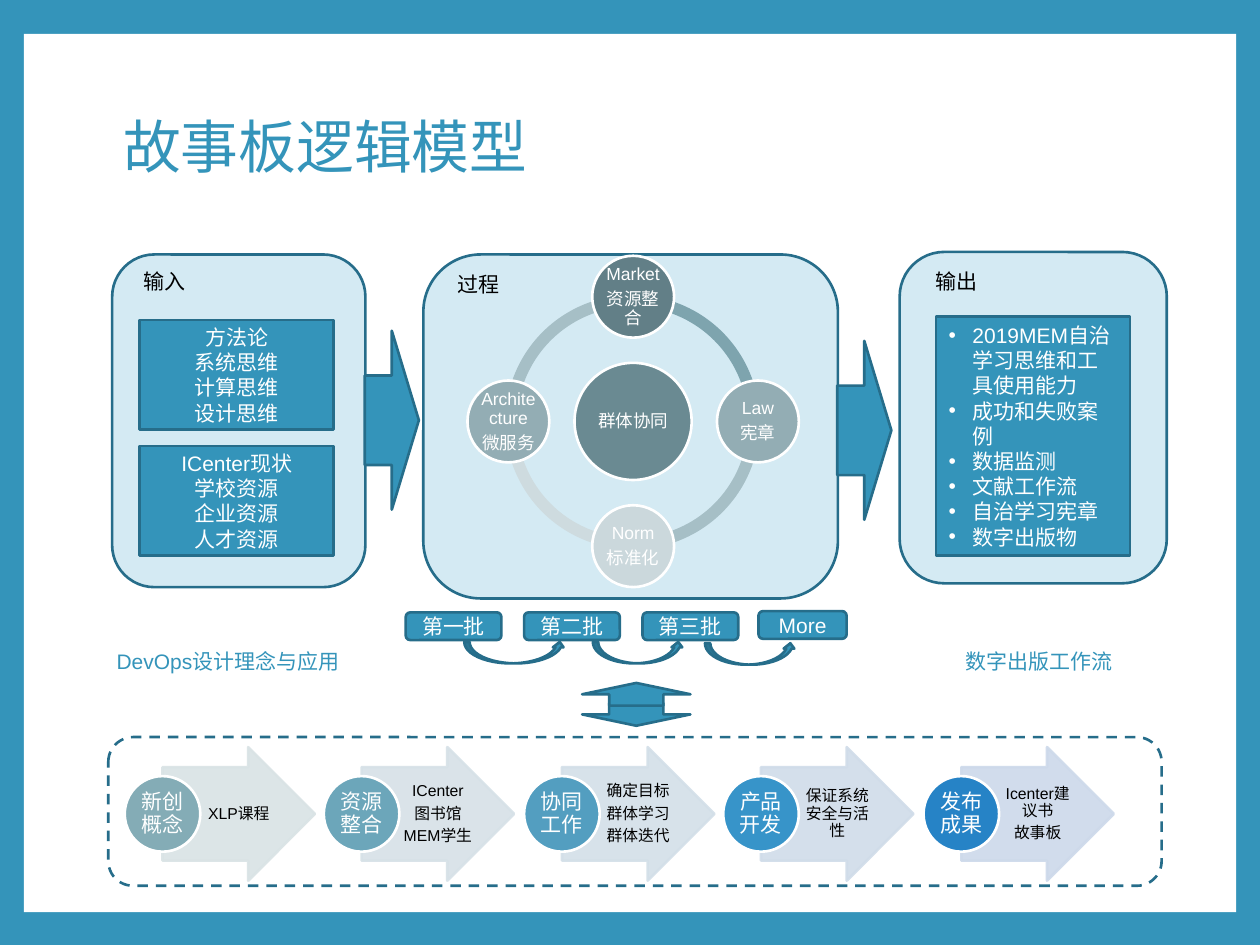
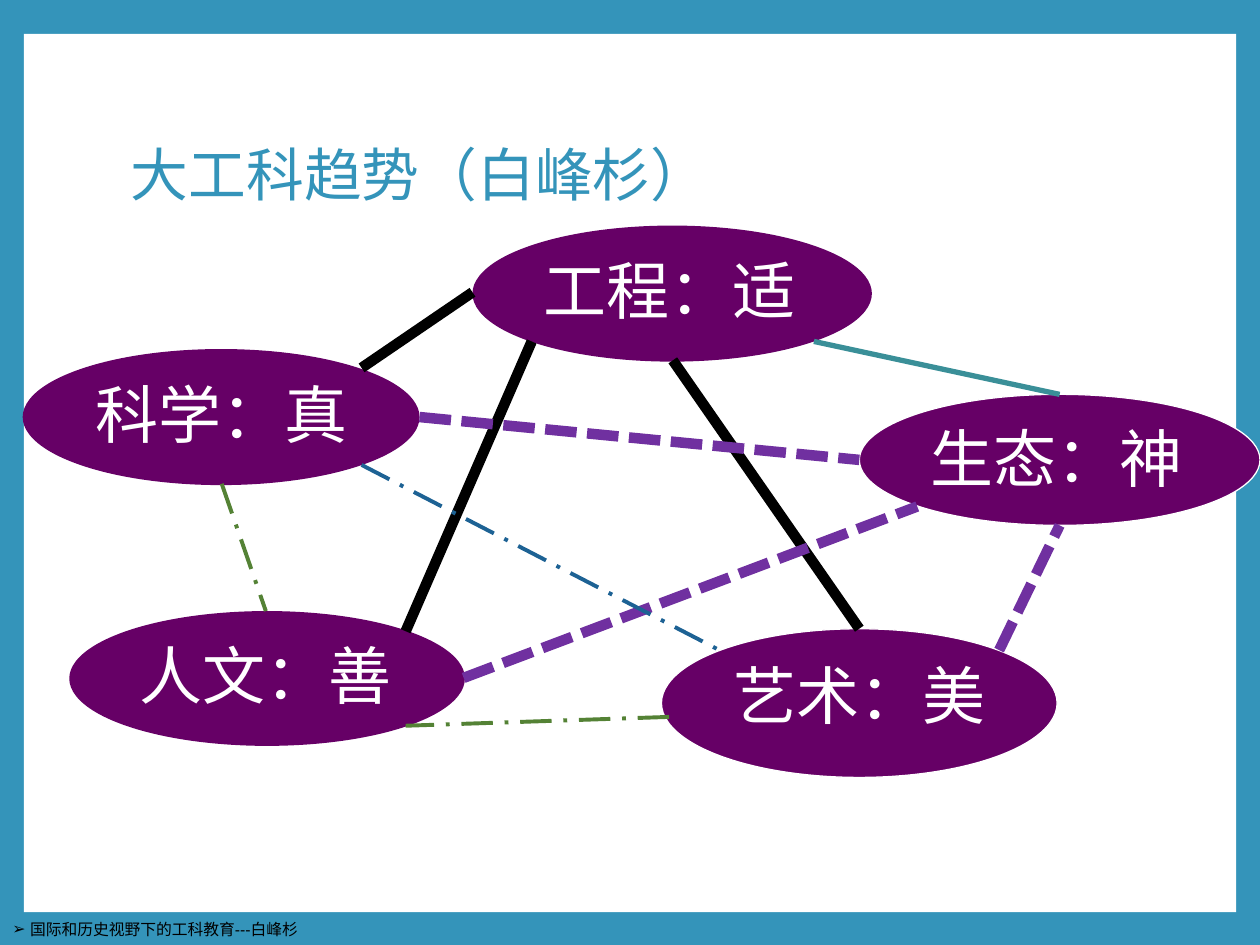
"""Build two slides: the storyboard logic model and the engineering trend map."""
from lxml import etree
from pptx import Presentation, util as u
from pptx.dml.color import RGBColor
from pptx.enum import dml, shapes, text
from pptx.oxml.ns import qn


class Theme:
    font = "Arial"
    main, edge, pale = "3494BA", "266D8A", "D4EAF3"
    white, black, plum = "FFFFFF", "000000", "660066"
    teal, violet, green, navy = "3A8F98", "7030A0", "548235", "1D6294"
    hub, ring = "6A8A92", ["A6BFC6", "CEDBDF", "A6BFC6", "7EA4AE"]
    title, big, body, node, small = 33, 36, 12, 10, 9


T = Theme
K = shapes.MSO_SHAPE
A = text.PP_ALIGN
V = text.MSO_ANCHOR
D = dml.MSO_LINE
PX = 9144
rgb = RGBColor.from_string


def put(page, kind, box, fill=None, edge=None, width=1.5, rows=(), size=T.body,
        ink=T.white, align=A.CENTER, anchor=V.MIDDLE, pad=None, mark=None,
        dent=0, adj=(), **form):
    """Add a shape, or a text box when kind is None, and return it."""
    spot = [n * PX for n in box]
    if kind is None:
        item = page.shapes.add_textbox(*spot)
    else:
        item = page.shapes.add_shape(kind, *spot)
        item.shadow.inherit = False
        for part, tint in ((item.fill, fill), (item.line.fill, edge)):
            if tint:
                part.solid()
                part.fore_color.rgb = rgb(tint)
            else:
                part.background()
        if edge:
            item.line.width = u.Pt(width)
        for i, val in enumerate(adj):
            item.adjustments[i] = val
    if not rows:
        return item
    frame = item.text_frame
    frame.text = "\n".join(rows)
    frame.word_wrap = True
    frame.vertical_anchor = anchor
    if pad:
        for side, gap in zip(("left", "top", "right", "bottom"), pad):
            setattr(frame, f"margin_{side}", gap * PX)
    for para in frame.paragraphs:
        if mark:
            prop = para._p.get_or_add_pPr()
            prop.set("marL", str(dent * PX))
            prop.set("indent", str(-dent * PX))
            etree.SubElement(prop, qn("a:buFont"), typeface=T.font)
            etree.SubElement(prop, qn("a:buChar"), char=mark)
        for name, val in {"alignment": align, **form}.items():
            setattr(para, name, val)
        for run in para.runs:
            for name, val in {"name": T.font, "size": u.Pt(size)}.items():
                setattr(run.font, name, val)
            run.font.color.rgb = rgb(ink)
    return item


deck = Presentation()
deck.slide_width, deck.slide_height = 1000 * PX, 750 * PX

pages = []
for name, box in (("故事板逻辑模型", (88, 77, 810, 84)),
                  ("大工科趋势（白峰杉）", (94, 67, 810, 148))):
    page = deck.slides.add_slide(deck.slide_layouts[6])
    page.background.fill.solid()
    page.background.fill.fore_color.rgb = rgb(T.main)
    put(page, K.RECTANGLE, (19, 27, 962, 697), T.white)
    pages.append((page, name, box))

page, name, box = pages[0]
head = dict(size=T.title, ink=T.main, align=A.LEFT, line_spacing=0.9)
solid = dict(fill=T.main, edge=T.edge)
put(page, None, box, rows=[name], **head)

for box, name, spot in (
        ((89, 202, 201, 264), "输入", (104, 208, 57, 30)),
        ((336, 202, 329, 273), "过程", (353, 211, 72, 30)),
        ((714, 200, 212, 263), "输出", (733, 208, 72, 30))):
    put(page, K.ROUNDED_RECTANGLE, box, T.pale, T.edge)
    put(page, None, spot, rows=[name], ink=T.black, align=A.LEFT, anchor=V.TOP)

for top, rows in ((254, ["方法论", "系统思维", "计算思维", "设计思维"]),
                  (354, ["ICenter现状", "学校资源", "企业资源", "人才资源"])):
    put(page, K.RECTANGLE, (111, top, 154, 87), rows=rows, **solid)
put(page, K.RECTANGLE, (743, 251, 154, 190), align=A.LEFT, mark="•", dent=19,
    rows=["2019MEM自治学习思维和工具使用能力", "成功和失败案例", "数据监测",
          "文献工作流", "自治学习宪章", "数字出版物"], **solid)

for left, name in ((81, "DevOps设计理念与应用"), (725, "数字出版工作流")):
    put(page, None, (left, 503, 200, 46), rows=[name], ink=T.main, line_spacing=0.9)

for kind, box, turn in (
        (K.DOWN_ARROW, (240, 312, 142, 43), 270),
        (K.DOWN_ARROW, (615, 320, 142, 43), 270),
        (K.DOWN_ARROW, (462, 558, 86, 18), 0),
        (K.DOWN_ARROW, (462, 542, 86, 18), 180),
        (K.CURVED_RIGHT_ARROW, (400, 478, 17, 80), 270),
        (K.CURVED_RIGHT_ARROW, (498, 482, 17, 72), 270),
        (K.CURVED_RIGHT_ARROW, (587, 483, 17, 72), 270)):
    put(page, kind, box, **solid).rotation = turn

for name, box in (("第一批", (322, 486, 76, 22)), ("第二批", (416, 486, 76, 22)),
                  ("第三批", (510, 486, 76, 22)), ("More", (602, 485, 70, 22))):
    put(page, K.ROUNDED_RECTANGLE, box, rows=[name], **solid)

for i, tint in enumerate(T.ring):
    put(page, K.BLOCK_ARC, (401, 234, 202, 202), tint,
        adj=(54 * i, 54 * (i + 1) % 216, 0.046))
tight = dict(pad=(1, 1, 1, 1), line_spacing=0.9)
node = dict(edge=T.white, size=T.node, space_after=u.Pt(3.5), **tight)
put(page, K.OVAL, (456, 288, 93, 93), T.hub, rows=["群体协同"], **node)
for dx, dy, tint, rows in (
        (0, -1, "627F87", ["Market", "资源整合"]),
        (1, 0, "93ADB4", ["Law", "宪章"]),
        (0, 1, "CBD8DC", ["Norm", "标准化"]),
        (-1, 0, "93ADB4", ["Architecture", "微服务"])):
    put(page, K.OVAL, (470 + 99 * dx, 302 + 99 * dy, 65, 65), tint, rows=rows, **node)

stage = put(page, K.ROUNDED_RECTANGLE, (86, 585, 836, 118), edge=T.edge)
stage.line.dash_style = D.DASH
steps = (("新创概念", "84ACB6", "D9E3E5", ["XLP课程"]),
         ("资源整合", "6CA6BA", "D6E1E7", ["ICenter", "图书馆", "MEM学生"]),
         ("协同工作", "539EC0", "D3DFE8", ["确定目标", "群体学习", "群体迭代"]),
         ("产品开发", "3794C9", "D0DCE9", ["保证系统安全与活性"]),
         ("发布成果", "2683C6", "CDD9EA", ["Icenter建议书", "故事板"]))
for i, (name, tint, haze, rows) in enumerate(steps):
    left = 99 + 317 * i // 2
    arrow = put(page, K.RIGHT_ARROW, (left + 30, 593, 121, 106), haze, haze,
                adj=(0.7, 0.5))
    for clr in arrow._element.spPr.iter(qn("a:srgbClr")):
        etree.SubElement(clr, qn("a:alpha"), val="90000")
    put(page, None, (left + 60, 609, 59, 74), rows=rows, size=T.small, ink=T.black,
        pad=(3, 1, 1, 1), line_spacing=0.9, space_after=u.Pt(3))
    put(page, K.OVAL, (left, 616, 60, 60), tint, T.white, rows=[name], **tight)

page, name, box = pages[1]
for word, spot, edge, align in (
        ("人文：善", (55, 485, 314, 107), None, A.LEFT),
        ("科学：真", (18, 277, 315, 108), None, A.CENTER),
        ("艺术：美", (525, 499, 314, 118), T.white, A.CENTER),
        ("工程：适", (375, 179, 317, 108), None, A.LEFT),
        ("生态：神", (682, 313, 318, 104), T.white, A.LEFT)):
    put(page, K.OVAL, spot, T.plum, edge, 0.75, [word], T.big, align=align,
        anchor=V.TOP)

bold = (T.black, 6, None)
dash = (T.violet, 6, D.SQUARE_DOT)
leaf = (T.green, 2.25, D.LONG_DASH_DOT)
for ends, (tint, width, style) in (
        ((287, 292, 375, 232), bold),
        ((322, 501, 422, 271), bold),
        ((682, 499, 534, 286), bold),
        ((646, 271, 841, 313), (T.teal, 3, None)),
        ((333, 331, 682, 365), dash),
        ((368, 538, 728, 402), dash),
        ((793, 516, 841, 417), dash),
        ((176, 384, 211, 485), leaf),
        ((287, 369, 571, 516), (T.navy, 2.25, D.LONG_DASH_DOT)),
        ((531, 569, 322, 576), leaf)):
    link = page.shapes.add_connector(shapes.MSO_CONNECTOR.STRAIGHT,
                                     *[n * PX for n in ends])
    link.line.color.rgb = rgb(tint)
    for key, val in {"width": u.Pt(width), "dash_style": style}.items():
        setattr(link.line, key, val)
    etree.SubElement(link._element.spPr, qn("a:effectLst"))

put(page, None, box, rows=[name], **head)
put(page, None, (0, 725, 440, 25), rows=["国际和历史视野下的工科教育---白峰杉"],
    size=T.small, ink=T.black, align=A.LEFT, anchor=V.TOP, mark="➢", dent=14)

deck.save("out.pptx")
